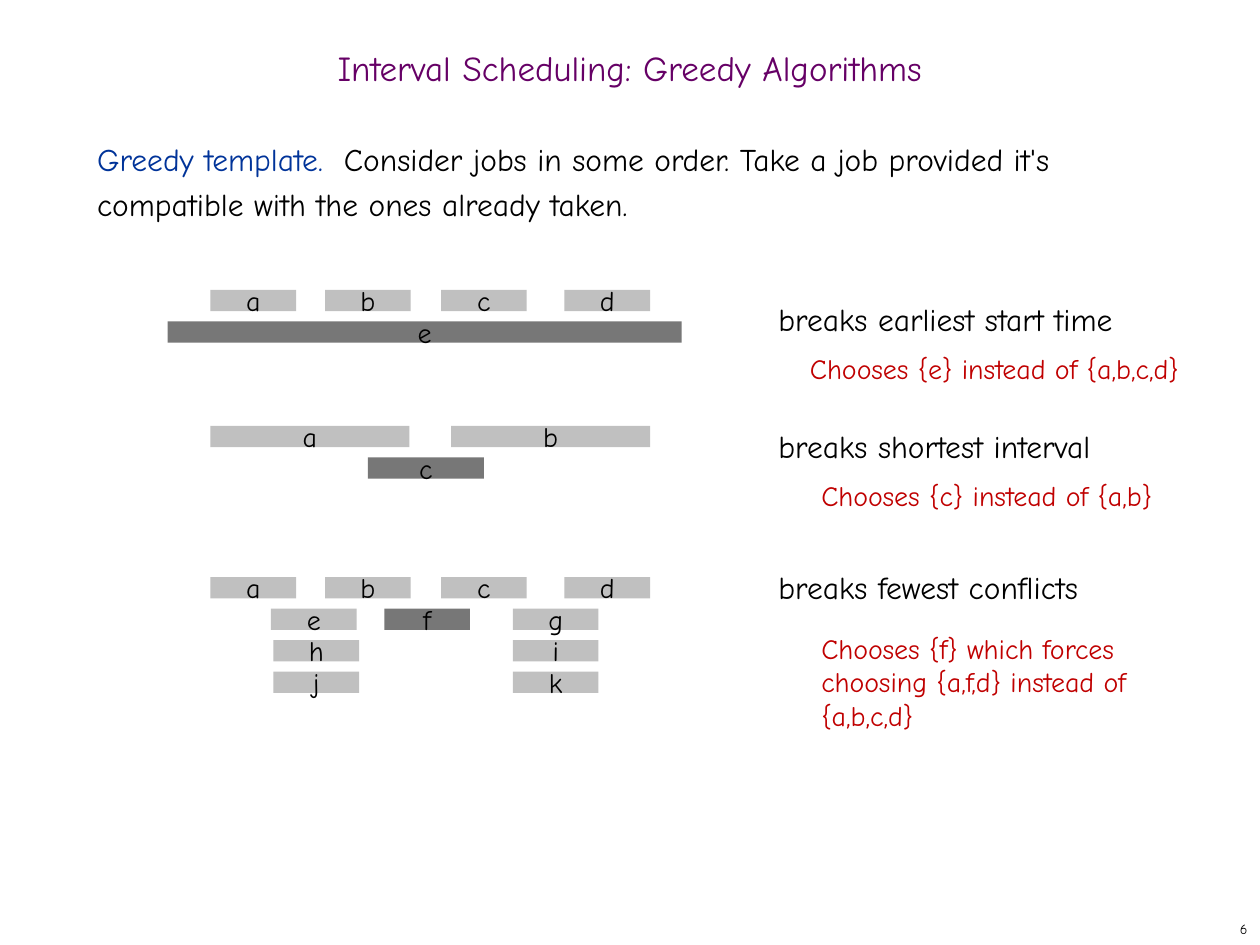
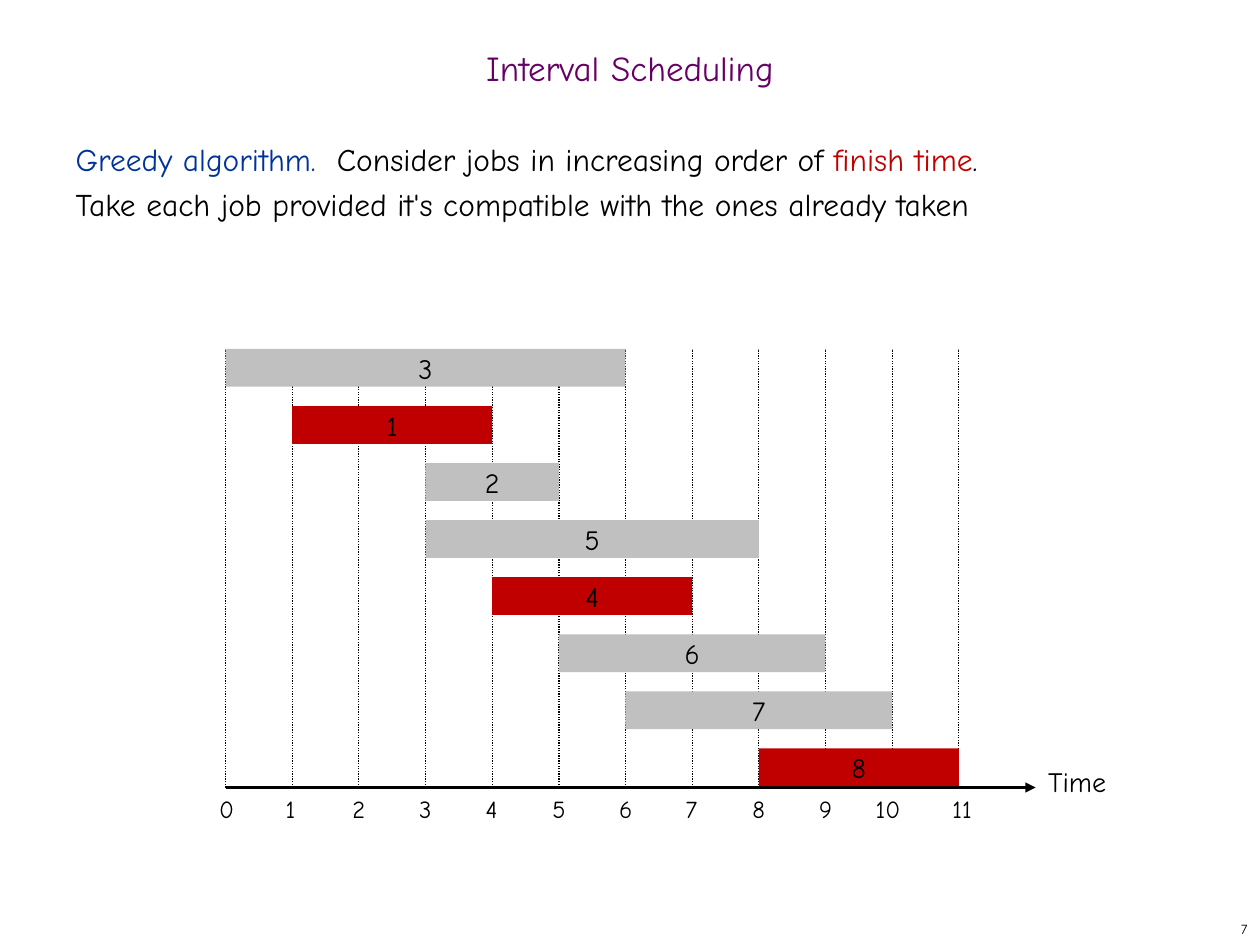
from dataclasses import dataclass
from lxml.etree import SubElement
from pptx import Presentation
from pptx.dml.color import RGBColor
from pptx.enum.dml import MSO_LINE
from pptx.enum.shapes import MSO_CONNECTOR, MSO_SHAPE
from pptx.enum.text import MSO_ANCHOR as Anchor, MSO_AUTO_SIZE as AutoSize, PP_ALIGN as Align
from pptx.oxml.ns import qn
from pptx.util import Inches, Pt


@dataclass(frozen=True)
class Theme:
    font: str = "Comic Neue"
    purple: str = "660066"
    blue: str = "003399"
    black: str = "000000"
    red: str = "C00000"
    light: str = "C0C0C0"
    dark: str = "777777"
    title_size: int = 20
    body_size: int = 18
    label_size: int = 16
    tick_size: int = 14
    number_size: int = 8


THEME = Theme()

TEMPLATE_TITLE = "Interval Scheduling: Greedy Algorithms"
TEMPLATE_BODY = [
    ("Greedy template.  ", THEME.blue),
    ("Consider jobs in some order. Take a job provided it's "
     "compatible with the ones already taken.", THEME.black),
]
FOUR_JOBS = [("a", 1.67, 0.68), ("b", 2.58, 0.68), ("c", 3.5, 0.68), ("d", 4.48, 0.68)]
COUNTEREXAMPLES = [
    {
        "top": 2.3,
        "rows": [FOUR_JOBS, [("e", 1.33, 4.08)]],
        "chosen": "e",
        "claim": ("breaks earliest start time", (6.08, 2.33, 3.27, 0.4)),
        "reason": ("Chooses {e} instead of {a,b,c,d}", (6.33, 2.74, 3.44, 0.37)),
    },
    {
        "top": 3.38,
        "rows": [[("a", 1.67, 1.58), ("b", 3.58, 1.58)], [("c", 2.92, 0.92)]],
        "chosen": "c",
        "claim": ("breaks shortest interval", (6.08, 3.34, 3.07, 0.4)),
        "reason": ("Chooses {c} instead of {a,b}", (6.42, 3.75, 3.06, 0.37)),
    },
    {
        "top": 4.58,
        "rows": [
            FOUR_JOBS,
            [("e", 2.15, 0.68), ("f", 3.05, 0.68), ("g", 4.07, 0.68)],
            [("h", 2.17, 0.68), ("i", 4.07, 0.68)],
            [("j", 2.17, 0.68), ("k", 4.07, 0.68)],
        ],
        "chosen": "f",
        "claim": ("breaks fewest conflicts", (6.08, 4.46, 3, 0.4)),
        "reason": ("Chooses {f} which forces\nchoosing {a,f,d} instead of\n{a,b,c,d}",
                   (6.42, 4.96, 3, 0.91)),
    },
]
JOB_HEIGHT, JOB_PITCH = 0.17, 0.25

SCHEDULE_TITLE = "Interval Scheduling"
SCHEDULE_BODY = [
    ("Greedy algorithm.  ", THEME.blue),
    ("Consider jobs in increasing order of ", THEME.black),
    ("finish time", THEME.red),
    (".\nTake each job provided it's compatible with the ones already taken", THEME.black),
]
SCHEDULE = [("3", 0, 6), ("1", 1, 4), ("2", 3, 5), ("5", 3, 8),
            ("4", 4, 7), ("6", 5, 9), ("7", 6, 10), ("8", 8, 11)]
SELECTED = {"1", "4", "8"}
LAST_TICK = 11
AXIS_LEFT, AXIS_RIGHT, AXIS_TOP, AXIS_BOTTOM = 1.79, 8.22, 2.77, 6.25
TICK_PITCH = (7.61 - AXIS_LEFT) / LAST_TICK
TICK_NUDGE = {10: -0.08}
INTERVAL_HEIGHT = 0.3
INTERVAL_PITCH = (5.94 - AXIS_TOP) / (len(SCHEDULE) - 1)


def inches(*values):
    return [Inches(value) for value in values]


def style(paragraph, size, color=THEME.black, align=Align.LEFT):
    paragraph.alignment = align
    paragraph.font.name = THEME.font
    paragraph.font.size = Pt(size)
    paragraph.font.color.rgb = RGBColor.from_string(color)


def add_lines(paragraph, text, color=None):
    for index, line in enumerate(text.split("\n")):
        if index:
            paragraph.add_line_break()
        run = paragraph.add_run()
        run.text = line
        if color:
            run.font.color.rgb = RGBColor.from_string(color)


def place(shape, box):
    shape.left, shape.top, shape.width, shape.height = inches(*box)


def add_text(slide, text, box, size, color=THEME.black, wrap=False):
    text_box = slide.shapes.add_textbox(*inches(*box))
    frame = text_box.text_frame
    frame.word_wrap = wrap
    frame.auto_size = AutoSize.SHAPE_TO_FIT_TEXT
    add_lines(frame.paragraphs[0], text)
    style(frame.paragraphs[0], size, color)
    return text_box


def add_bar(slide, label, box, color):
    bar = slide.shapes.add_shape(MSO_SHAPE.RECTANGLE, *inches(*box))
    bar.shadow.inherit = False
    bar.fill.solid()
    bar.fill.fore_color.rgb = RGBColor.from_string(color)
    bar.line.fill.background()
    frame = bar.text_frame
    frame.word_wrap = False
    frame.vertical_anchor = Anchor.MIDDLE
    frame.paragraphs[0].text = label
    style(frame.paragraphs[0], THEME.label_size, align=Align.CENTER)


def add_line(slide, start, end, width):
    connector = slide.shapes.add_connector(MSO_CONNECTOR.STRAIGHT, *inches(*start, *end))
    connector.line.color.rgb = RGBColor.from_string(THEME.black)
    connector.line.width = Pt(width)
    SubElement(connector.element.spPr, qn("a:effectLst"))
    return connector


def add_slide(presentation, title, body_runs, body_box, number):
    slide = presentation.slides.add_slide(presentation.slide_layouts[1])
    heading, body = slide.placeholders
    place(heading, (0, 0.33, 10, 0.5))
    heading.text_frame.vertical_anchor = Anchor.MIDDLE
    heading.text_frame.auto_size = AutoSize.NONE
    paragraph = heading.text_frame.paragraphs[0]
    paragraph.text = title
    paragraph.line_spacing = 0.7
    style(paragraph, THEME.title_size, THEME.purple, Align.CENTER)

    place(body, body_box)
    body.text_frame.auto_size = AutoSize.NONE
    paragraph = body.text_frame.paragraphs[0]
    paragraph.line_spacing = Pt(26)
    paragraph.space_before = Pt(0)
    properties = paragraph._p.get_or_add_pPr()
    properties.set("marL", "0")
    properties.set("indent", "0")
    SubElement(properties, qn("a:buNone"))
    for text, color in body_runs:
        add_lines(paragraph, text, color)
    style(paragraph, THEME.body_size)

    page = add_text(slide, str(number), (7.92, 7.25, 2.08, 0.25), THEME.number_size)
    page.text_frame.auto_size = AutoSize.NONE
    page.text_frame.vertical_anchor = Anchor.MIDDLE
    page.text_frame.paragraphs[0].alignment = Align.RIGHT
    return slide


def build_counterexamples(presentation):
    slide = add_slide(presentation, TEMPLATE_TITLE, TEMPLATE_BODY, (0.67, 1, 8.58, 5.92), 6)
    for example in COUNTEREXAMPLES:
        for row, jobs in enumerate(example["rows"]):
            top = example["top"] + row * JOB_PITCH
            for label, left, width in jobs:
                color = THEME.dark if label == example["chosen"] else THEME.light
                add_bar(slide, label, (left, top, width, JOB_HEIGHT), color)
        add_text(slide, *example["claim"], THEME.body_size)
        add_text(slide, *example["reason"], THEME.label_size, THEME.red)


def build_schedule(presentation):
    slide = add_slide(presentation, SCHEDULE_TITLE, SCHEDULE_BODY, (0.5, 1, 8.75, 1.4), 7)
    axis = add_line(slide, (AXIS_LEFT, AXIS_BOTTOM), (AXIS_RIGHT, AXIS_BOTTOM), 1.25)
    SubElement(axis.line._get_or_add_ln(), qn("a:tailEnd"), type="triangle")
    add_text(slide, "Time", (AXIS_RIGHT, 6.02, 0.83, 0.41), THEME.label_size, wrap=True)

    for tick in range(LAST_TICK + 1):
        x = AXIS_LEFT + tick * TICK_PITCH
        grid_line = add_line(slide, (x, AXIS_BOTTOM), (x, AXIS_TOP), 0.75)
        grid_line.line.dash_style = MSO_LINE.ROUND_DOT
        left = x - 0.15 + TICK_NUDGE.get(tick, 0)
        add_text(slide, str(tick), (left, AXIS_BOTTOM, 0.45, 0.37), THEME.tick_size, wrap=True)

    for row, (label, start, finish) in enumerate(SCHEDULE):
        box = (AXIS_LEFT + start * TICK_PITCH, AXIS_TOP + row * INTERVAL_PITCH,
               (finish - start) * TICK_PITCH, INTERVAL_HEIGHT)
        add_bar(slide, label, box, THEME.red if label in SELECTED else THEME.light)


def main():
    presentation = Presentation()
    presentation.slide_width, presentation.slide_height = inches(10, 7.5)
    build_counterexamples(presentation)
    build_schedule(presentation)
    presentation.save("out.pptx")


if __name__ == "__main__":
    main()
